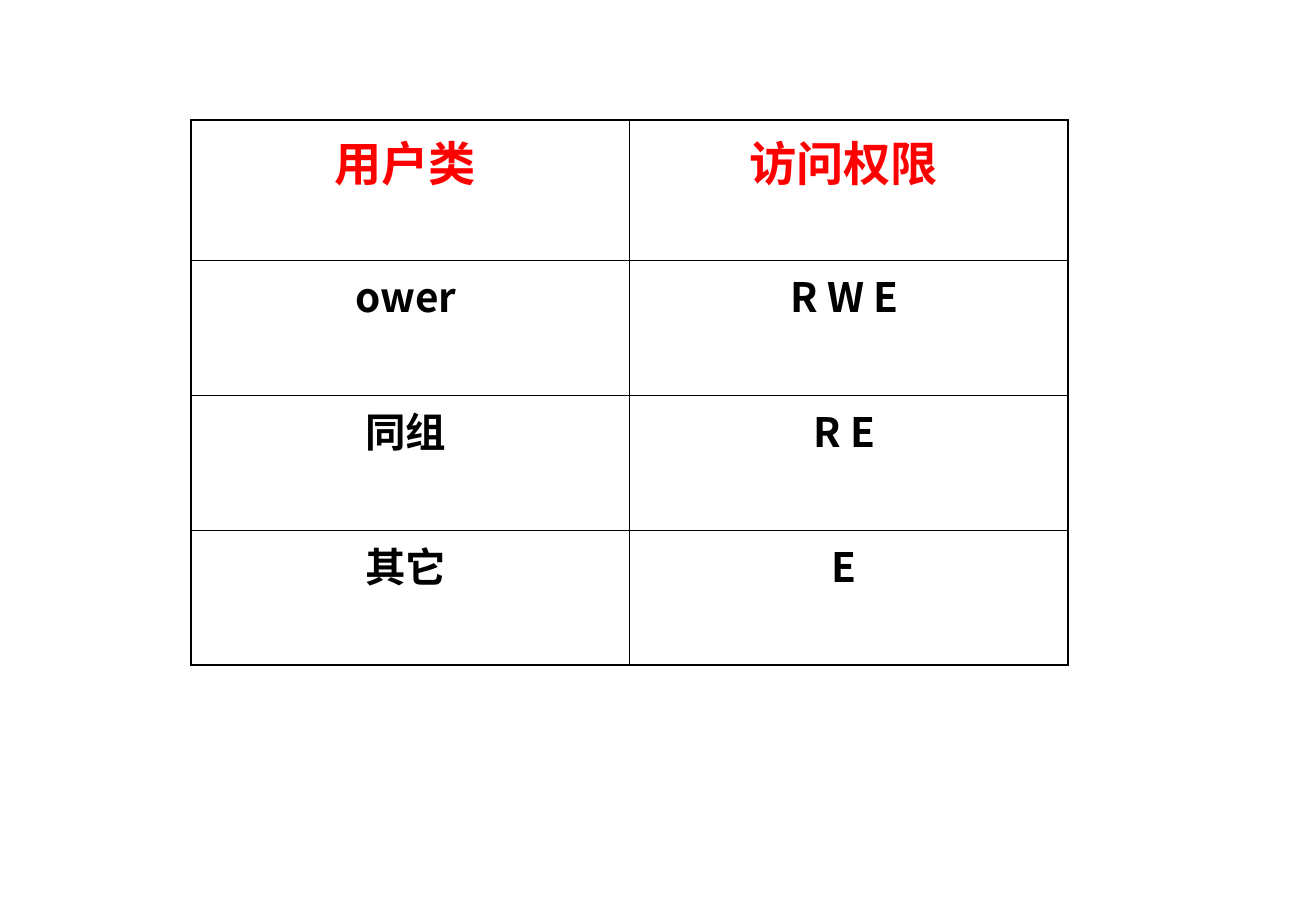
from lxml import etree
from pptx import Presentation
from pptx import util as u
from pptx.dml.color import RGBColor
from pptx.enum import text
from pptx.oxml import ns

FONT = "Noto Sans CJK SC"
RED, BLACK = "FF0000", "000000"
OUTER, INNER = 1.08, 0.45
PERMISSIONS = [
    ("用户类 ", "访问权限 "),
    ("ower ", "R W E "),
    ("同组 ", "R E "),
    ("其它 ", "E "),
]


def colour(value):
    return RGBColor.from_string(value)


def write(frame, words, size=24, color=BLACK, bold=True):
    para = frame.paragraphs[0]
    para.alignment = text.PP_ALIGN.CENTER
    span = para.add_run()
    span.text = words
    font = span.font
    font.name = FONT
    font.size = u.Pt(size)
    font.bold = bold
    font.color.rgb = colour(color)
    east_asian = etree.SubElement(span._r.get_or_add_rPr(), ns.qn("a:ea"))
    east_asian.set("typeface", FONT)


def add_border(cell, side, width):
    properties = cell._tc.get_or_add_tcPr()
    line = etree.SubElement(properties, ns.qn(f"a:ln{side}"), w=str(u.Pt(width)))
    fill = etree.SubElement(line, ns.qn("a:solidFill"))
    etree.SubElement(fill, ns.qn("a:srgbClr"), val=BLACK)


def add_permission_table(page, left, top, width, header_height, row_height):
    last_row, last_column = len(PERMISSIONS) - 1, len(PERMISSIONS[0]) - 1
    height = header_height + last_row * row_height
    table = page.shapes.add_table(
        last_row + 1, last_column + 1,
        u.Pt(left), u.Pt(top), u.Pt(width), u.Pt(height),
    ).table
    table.first_row = False
    table.horz_banding = False
    for r, labels in enumerate(PERMISSIONS):
        table.rows[r].height = u.Pt(row_height if r else header_height)
        for c, label in enumerate(labels):
            cell = table.cell(r, c)
            on_edge = {"L": c == 0, "R": c == last_column,
                       "T": r == 0, "B": r == last_row}
            for side, outer in on_edge.items():
                add_border(cell, side, OUTER if outer else INNER)
            cell.fill.background()
            if r == 0:
                write(cell.text_frame, label, size=28, color=RED)
            else:
                write(cell.text_frame, label)


def main():
    deck = Presentation()
    deck.slide_width, deck.slide_height = u.Pt(780.48), u.Pt(540)
    page = deck.slides.add_slide(deck.slide_layouts[6])
    add_permission_table(page, left=113.4, top=71.3, width=520,
                         header_height=82.8, row_height=80)
    deck.save("out.pptx")


if __name__ == "__main__":
    main()
